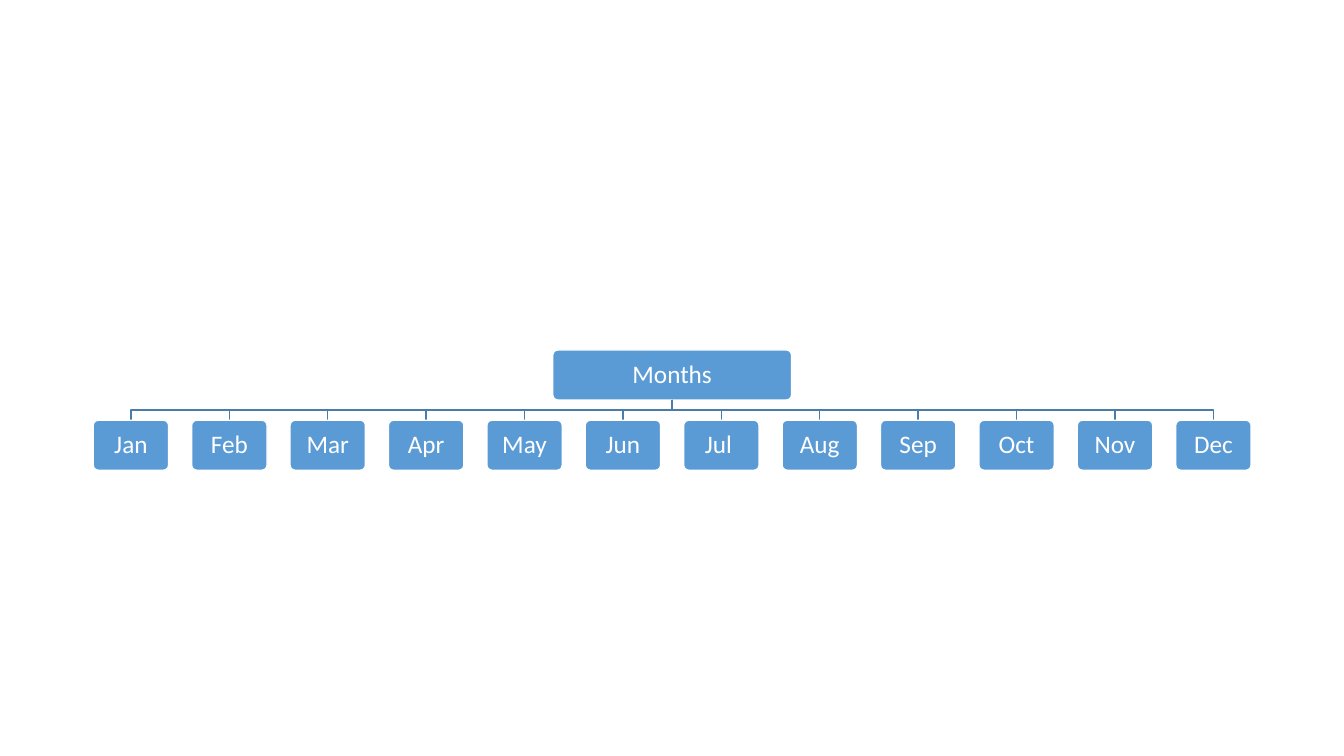
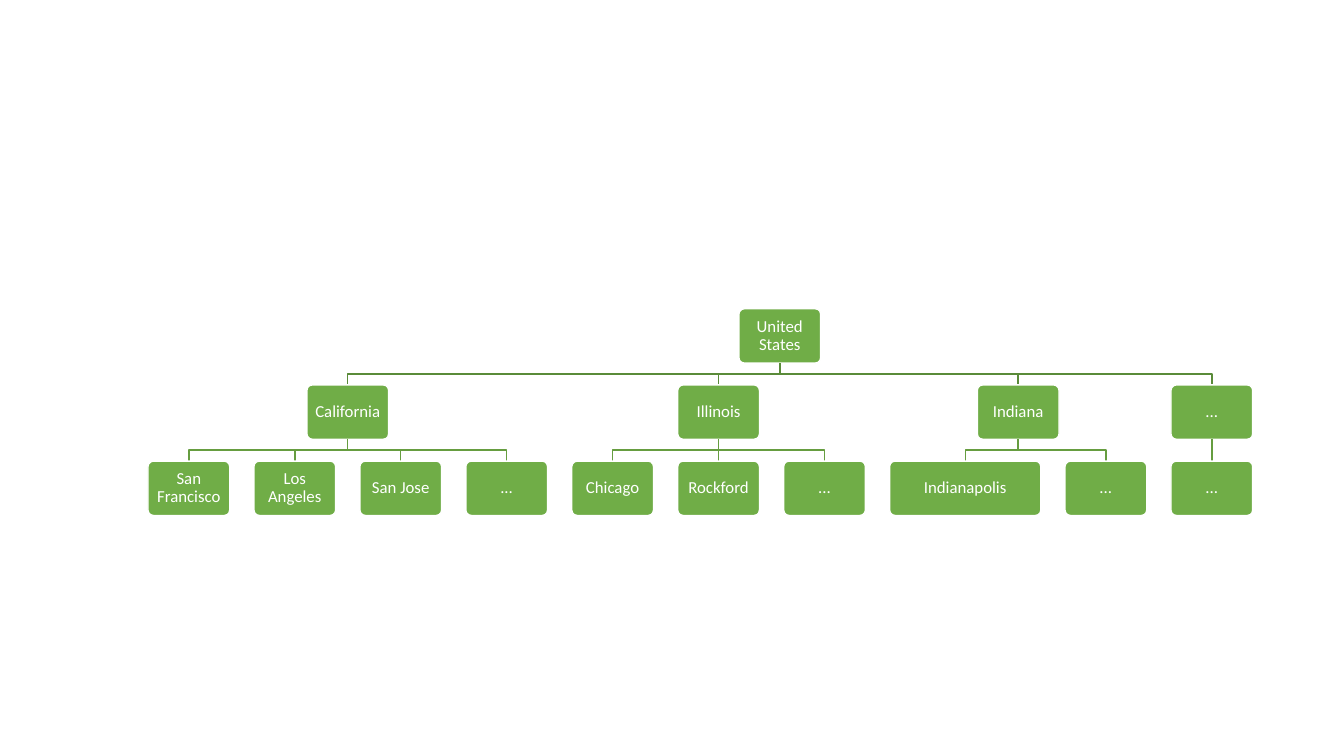
from pptx import Presentation
from pptx.dml.color import RGBColor
from pptx.enum.shapes import MSO_SHAPE
from pptx.enum.text import MSO_ANCHOR, PP_ALIGN
from pptx.util import Cm, Pt

ROUNDED = MSO_SHAPE.ROUNDED_RECTANGLE
MIDDLE = MSO_ANCHOR.MIDDLE
CENTER = PP_ALIGN.CENTER

FONT = "Calibri"
COLORS = {
    "white": "FFFFFF",
    "blue": "5B9BD5",
    "blue line": "497CAB",
    "green": "70AD47",
    "dark green line": "5A8B39",
    "green line": "669D40",
}

MONTH_NAMES = ["Jan", "Feb", "Mar", "Apr", "May", "Jun",
               "Jul ", "Aug", "Sep", "Oct", "Nov", "Dec"]
MONTHS = ("Months", [(name, []) for name in MONTH_NAMES])
STATES = ("United States", [
    ("California", [("San Francisco", []), ("Los Angeles", []),
                    ("San Jose", []), ("...", [])]),
    ("Illinois", [("Chicago", []), ("Rockford", []), ("...", [])]),
    ("Indiana", [("Indianapolis", []), ("...", [])]),
    ("...", [("...", [])]),
])

CHARTS = [
    {"tree": MONTHS, "fill": "blue", "lines": ["blue line"],
     "left": 2.35, "top": 8.82, "width": 1.9, "height": 1.26,
     "gap": 0.58, "level_gap": 0.51, "wide": {"Months": 6.02},
     "size": 18, "inset": 0.18},
    {"tree": STATES, "fill": "green", "lines": ["dark green line", "green line"],
     "left": 3.73, "top": 7.78, "width": 2.06, "height": 1.37,
     "gap": 0.61, "level_gap": 0.55, "wide": {"Indianapolis": 3.81},
     "size": 12, "inset": 0.13},
]


def color(name):
    return RGBColor.from_string(COLORS[name])


def place(node, chart, left, level=0):
    name, children = node
    width = chart["wide"].get(name, chart["width"])
    placed = []
    next_left = left
    for child in children:
        box = place(child, chart, next_left, level + 1)
        placed.append(box)
        next_left = box["end"] + chart["gap"]
    if placed:
        last = placed[-1]
        center = (placed[0]["left"] + last["left"] + last["width"]) / 2
        end = last["end"]
    else:
        center = left + width / 2
        end = left + width
    return {"name": name, "children": placed, "level": level, "center": center,
            "left": center - width / 2, "width": width, "end": end,
            "top": chart["top"] + level * (chart["height"] + chart["level_gap"])}


def draw_branch(slide, parent, child, chart):
    start = parent["top"] + chart["height"]
    bend = start + chart["level_gap"] / 2
    builder = slide.shapes.build_freeform(Cm(parent["center"]), Cm(start))
    corners = [(parent["center"], bend), (child["center"], bend),
               (child["center"], child["top"])]
    builder.add_line_segments([(Cm(x), Cm(y)) for x, y in corners], close=False)
    branch = builder.convert_to_shape()
    branch.shadow.inherit = False
    branch.fill.background()
    branch.line.color.rgb = color(chart["lines"][parent["level"]])
    branch.line.width = Pt(1)


def draw_box(slide, box, chart):
    shape = slide.shapes.add_shape(ROUNDED, Cm(box["left"]), Cm(box["top"]),
                                   Cm(box["width"]), Cm(chart["height"]))
    shape.adjustments[0] = 0.1
    shape.shadow.inherit = False
    shape.fill.solid()
    shape.fill.fore_color.rgb = color(chart["fill"])
    shape.line.color.rgb = color("white")
    shape.line.width = Pt(1)
    text_frame = shape.text_frame
    text_frame.text = box["name"]
    text_frame.word_wrap = True
    text_frame.vertical_anchor = MIDDLE
    text_frame.margin_left = text_frame.margin_right = Cm(chart["inset"])
    text_frame.margin_top = text_frame.margin_bottom = Cm(chart["inset"])
    paragraph = text_frame.paragraphs[0]
    paragraph.alignment = CENTER
    paragraph.line_spacing = 0.9
    font = paragraph.runs[0].font
    font.name = FONT
    font.size = Pt(chart["size"])
    font.color.rgb = color("white")


def draw_tree(slide, box, chart):
    draw_box(slide, box, chart)
    for child in box["children"]:
        draw_branch(slide, box, child, chart)
        draw_tree(slide, child, chart)


presentation = Presentation()
presentation.slide_width = Cm(33.87)
presentation.slide_height = Cm(19.05)
blank_layout = presentation.slide_layouts[6]
for chart in CHARTS:
    slide = presentation.slides.add_slide(blank_layout)
    draw_tree(slide, place(chart["tree"], chart, chart["left"]), chart)
presentation.save("out.pptx")
